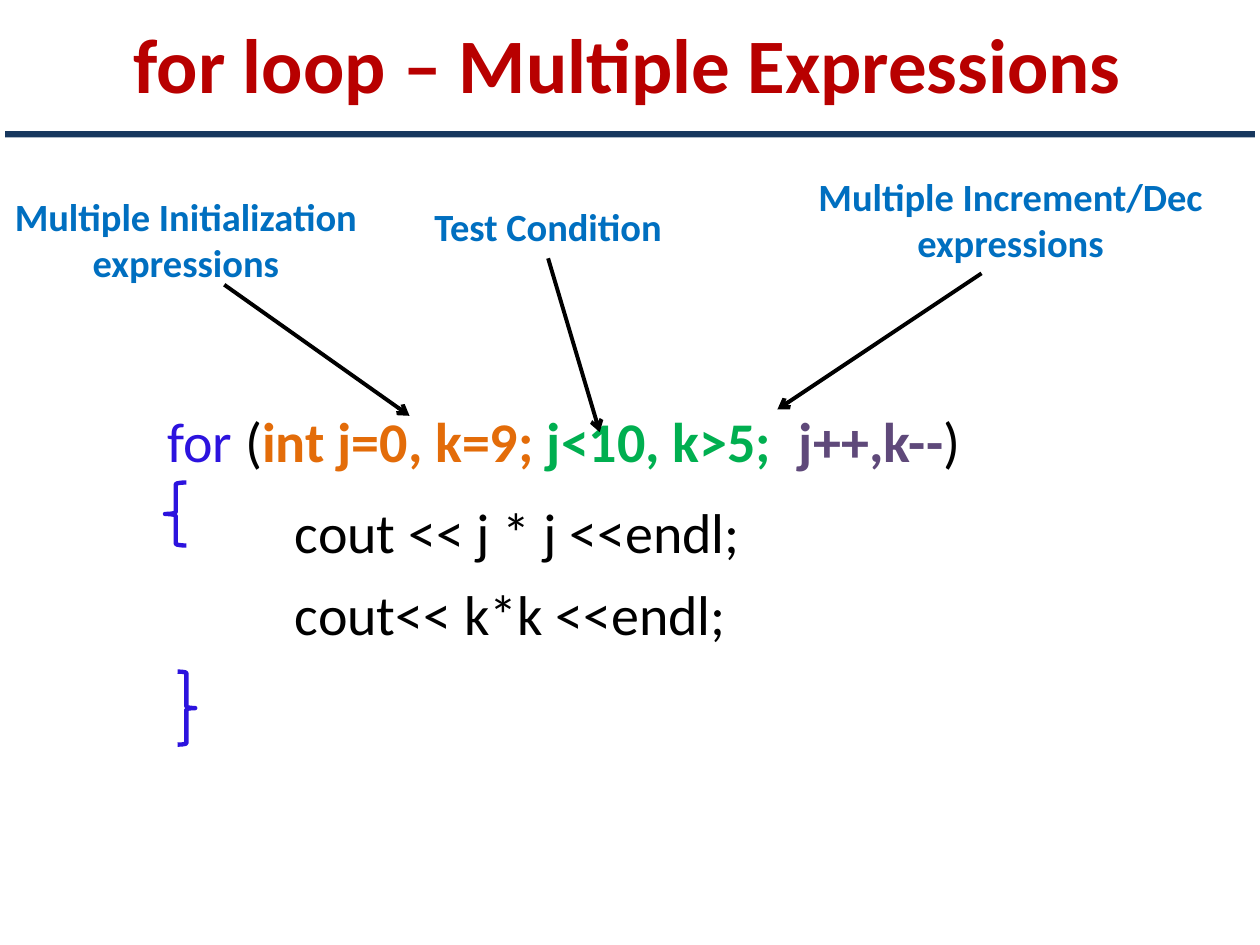
from pptx import Presentation
from pptx.dml.color import RGBColor
from pptx.enum.shapes import MSO_CONNECTOR, MSO_SHAPE
from pptx.enum.text import MSO_ANCHOR, PP_ALIGN
from pptx.oxml.ns import qn
from pptx.util import Inches, Pt
from lxml.etree import SubElement

RED = RGBColor(0xB8, 0x00, 0x00)
NAVY = RGBColor(0x17, 0x37, 0x5E)
BLUE = RGBColor(0x00, 0x6F, 0xC0)
VIOLET = RGBColor(0x2C, 0x13, 0xDE)
ORANGE = RGBColor(0xE3, 0x6C, 0x09)
GREEN = RGBColor(0x00, 0xAF, 0x50)
PURPLE = RGBColor(0x5F, 0x49, 0x7A)
BLACK = RGBColor(0x00, 0x00, 0x00)

COLUMNS, ROWS = 100, 75


class SlideBuilder:
    """Places elements on a grid of COLUMNS by ROWS cells; boxes are (left, top, width, height)."""

    font_name = "Calibri"
    title_size, label_size, code_size = Pt(44), Pt(22), Pt(32)
    arrow_width, brace_width = Pt(2.25), Pt(2.5)

    def __init__(self, presentation):
        self.cell_width = presentation.slide_width / COLUMNS
        self.cell_height = presentation.slide_height / ROWS
        self.slide = presentation.slides.add_slide(presentation.slide_layouts[5])

    def place(self, *lengths):
        """Turn alternating columns and rows into slide lengths."""
        cells = (self.cell_width, self.cell_height)
        return [round(length * cells[index % 2]) for index, length in enumerate(lengths)]

    def prepare_frame(self, frame, left=0, top=0.01):
        frame.word_wrap = True
        frame.vertical_anchor = MSO_ANCHOR.TOP
        frame.margin_left, frame.margin_top = Inches(left), Inches(top)
        frame.margin_right = frame.margin_bottom = 0
        return frame

    def add_run(self, paragraph, text, size, color, bold=False):
        run = paragraph.add_run()
        run.text = text
        run.font.name, run.font.size, run.font.bold = self.font_name, size, bold
        run.font.color.rgb = color

    def title(self, text, box):
        title = self.slide.shapes.title
        title.left, title.top, title.width, title.height = self.place(*box)
        frame = self.prepare_frame(title.text_frame, left=0.58, top=0.17)
        paragraph = frame.paragraphs[0]
        paragraph.alignment = PP_ALIGN.LEFT
        self.add_run(paragraph, text, self.title_size, RED, True)

    def label(self, lines, box):
        frame = self.prepare_frame(self.slide.shapes.add_textbox(*self.place(*box)).text_frame)
        for index, line in enumerate(lines):
            paragraph = frame.add_paragraph() if index else frame.paragraphs[0]
            paragraph.alignment = PP_ALIGN.CENTER
            self.add_run(paragraph, line, self.label_size, BLUE, True)

    def code(self, header, body, box, indent, tabs):
        """Write the loop header, then the body lines hanging under it."""
        frame = self.prepare_frame(self.slide.shapes.add_textbox(*self.place(*box)).text_frame)
        first = frame.paragraphs[0]
        properties = first._p.get_or_add_pPr()
        properties.set("marL", str(Inches(indent)))
        properties.set("indent", str(-Inches(indent)))
        first.line_spacing = 1.35
        tab_list = SubElement(properties, qn("a:tabLst"))
        for position in tabs:
            SubElement(tab_list, qn("a:tab"), pos=str(Inches(position)), algn="l")
        for text, color, bold in header:
            self.add_run(first, text, self.code_size, color, bold)
        first.add_line_break()
        self.add_run(first, body[0], self.code_size, BLACK)
        for line in body[1:]:
            paragraph = frame.add_paragraph()
            paragraph._p.get_or_add_pPr().set("marL", str(Inches(indent)))
            paragraph.space_before = Pt(8.8)
            self.add_run(paragraph, line, self.code_size, BLACK)

    def rule(self, box):
        shape = self.slide.shapes.add_shape(MSO_SHAPE.RECTANGLE, *self.place(*box))
        shape.shadow.inherit = False
        shape.fill.solid()
        shape.fill.fore_color.rgb = NAVY
        shape.line.fill.background()

    def brace(self, kind, box):
        shape = self.slide.shapes.add_shape(kind, *self.place(*box))
        shape.shadow.inherit = False
        shape.fill.background()
        shape.line.color.rgb, shape.line.width = VIOLET, self.brace_width

    def arrow(self, start, end):
        connector = self.slide.shapes.add_connector(
            MSO_CONNECTOR.STRAIGHT, *self.place(*start, *end))
        connector.line.color.rgb, connector.line.width = BLACK, self.arrow_width
        SubElement(connector.line._get_or_add_ln(), qn("a:tailEnd"), type="arrow")
        SubElement(connector._element.spPr, qn("a:effectLst"))


def main():
    presentation = Presentation()
    presentation.slide_width, presentation.slide_height = Inches(10), Inches(7.5)
    builder = SlideBuilder(presentation)

    builder.title("for loop – Multiple Expressions", (4.8, -0.4, 90.5, 9.7))
    header = [
        ("for ", VIOLET, False),
        ("(", BLACK, False),
        ("int j=0, k=9;\t", ORANGE, True),
        ("j<10, k>5;\t", GREEN, True),
        ("j++,k--", PURPLE, True),
        (")", BLACK, False),
    ]
    body = ["cout << j * j <<endl;", "cout<< k*k <<endl;"]
    builder.code(header, body, (13.3, 30.3, 64.3, 21.2), indent=1.01, tabs=(3.13, 5.11))
    builder.rule((0.4, 10.4, 99.2, 0.5))

    callouts = [
        (("Multiple Initialization", "expressions"), (1, 15.2, 27.5, 7.6),
         (17.8, 22.6), (32.5, 33)),
        (("Test Condition",), (34.3, 16, 18.4, 3.9), (43.5, 20.5), (47.6, 34.3)),
        (("Multiple Increment/Dec", "expressions"), (64.8, 13.6, 30.8, 7.6),
         (77.9, 21.7), (61.7, 32.5)),
    ]
    for lines, box, start, end in callouts:
        builder.arrow(start, end)
        builder.label(lines, box)

    builder.brace(MSO_SHAPE.LEFT_BRACE, (13.1, 38.3, 1.7, 5))
    builder.brace(MSO_SHAPE.RIGHT_BRACE, (14.1, 53.3, 1.4, 5.8))
    presentation.save("out.pptx")


if __name__ == "__main__":
    main()
